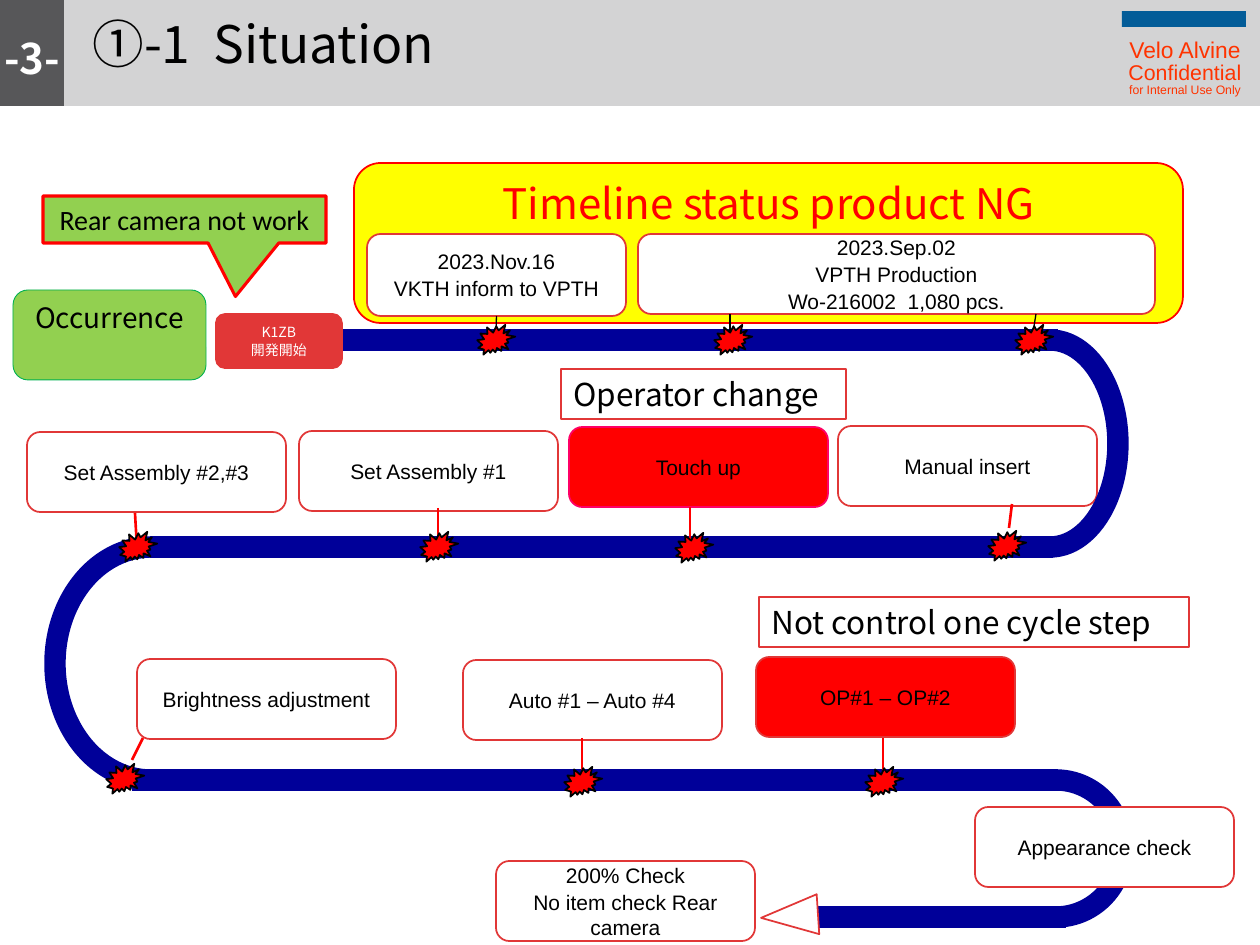
from lxml.etree import SubElement
from pptx import Presentation
from pptx.dml.color import RGBColor
from pptx.enum.shapes import MSO_CONNECTOR, MSO_SHAPE
from pptx.enum.text import MSO_ANCHOR, PP_ALIGN
from pptx.oxml.ns import qn
from pptx.util import Pt

PX_PER_INCH = 126
SANS, ARIAL, CALIBRI = "Noto Sans CJK JP", "Arial", "Calibri"

BLACK = RGBColor(0x00, 0x00, 0x00)
WHITE = RGBColor(0xFF, 0xFF, 0xFF)
RED = RGBColor(0xFF, 0x00, 0x00)
BORDER = RGBColor(0xE1, 0x37, 0x37)
PINK = RGBColor(0xFF, 0x00, 0x66)
YELLOW = RGBColor(0xFF, 0xFF, 0x00)
LIME = RGBColor(0x92, 0xD0, 0x50)
GREEN = RGBColor(0x00, 0xB0, 0x50)
NAVY = RGBColor(0x00, 0x00, 0x99)
LIGHT_GRAY = RGBColor(0xD3, 0xD3, 0xD4)
DARK_GRAY = RGBColor(0x57, 0x57, 0x59)
LOGO_BLUE = RGBColor(0x03, 0x5C, 0x98)
ORANGE = RGBColor(0xFF, 0x33, 0x00)

STEP_W, STEP_H = 259, 80
STAR_W, STAR_H = 37, 33
TRACK_PT = 12.25


def px(n):
    return round(n * 914400 / PX_PER_INCH)


def write(sp, text, size, color=BLACK, font=ARIAL, bold=False, align=PP_ALIGN.CENTER,
          anchor=MSO_ANCHOR.MIDDLE, before=0.1, wrap=True, inset=None):
    tf = sp.text_frame
    frame = {"word_wrap": wrap, "vertical_anchor": anchor}
    if inset is not None:
        for side in ("left", "top", "right", "bottom"):
            frame[f"margin_{side}"] = px(inset)
    for name, value in frame.items():
        setattr(tf, name, value)
    for i, line in enumerate(text.split("\n")):
        p = tf.paragraphs[0] if i == 0 else tf.add_paragraph()
        p.alignment = align
        p.space_before = Pt(round(size * before, 1))
        r = p.add_run()
        r.text = line
        for name, value in {"name": font, "size": Pt(size), "bold": bold}.items():
            setattr(r.font, name, value)
        r.font.color.rgb = color
        SubElement(r.font._element, qn("a:ea"), typeface=font)


def shape(s, kind, x, y, w, h, fill=None, line=None, width=1):
    sp = s.shapes.add_shape(kind, px(x), px(y), px(w), px(h))
    sp.shadow.inherit = False
    if fill is None:
        sp.fill.background()
    else:
        sp.fill.solid()
        sp.fill.fore_color.rgb = fill
    if line is None:
        sp.line.fill.background()
    else:
        sp.line.color.rgb = line
        sp.line.width = Pt(width)
    return sp


def textbox(s, x, y, w, h, text, size, **fmt):
    tb = s.shapes.add_textbox(px(x), px(y), px(w), px(h))
    write(tb, text, size, before=0, **fmt)


def connector(s, x1, y1, x2, y2, color, width):
    cx = s.shapes.add_connector(MSO_CONNECTOR.STRAIGHT, px(x1), px(y1), px(x2), px(y2))
    cx.line.color.rgb = color
    cx.line.width = Pt(width)
    SubElement(cx._element.spPr, qn("a:effectLst"))
    return cx


def step(s, x, y, text, w=STEP_W, h=STEP_H, fill=WHITE, line=BORDER):
    sp = shape(s, MSO_SHAPE.ROUNDED_RECTANGLE, x, y, w, h, fill, line)
    write(sp, text, 12)
    return sp


def header(s, x, y, w, h):
    shape(s, MSO_SHAPE.RECTANGLE, x, y, w, h, LIGHT_GRAY)
    shape(s, MSO_SHAPE.RECTANGLE, x, y, 64, h, DARK_GRAY)
    textbox(s, x, y + 26, 64, 63, "-3-", 24, color=WHITE, font=SANS, bold=True,
            wrap=False, inset=0)
    textbox(s, x + 80, y + 6, 1000, 74, "①-1  Situation", 29.5, font=SANS, align=PP_ALIGN.LEFT)
    # Company mark and confidentiality note
    right = x + w
    shape(s, MSO_SHAPE.RECTANGLE, right - 138, y + 11, 124, 16, LOGO_BLUE)
    for dy, height, text, size in ((35, 28, "Velo Alvine", 13),
                                   (59, 26, "Confidential", 12.2),
                                   (82, 15, "for Internal Use Only", 7)):
        textbox(s, right - 142, y + dy, 134, height, text, size, color=ORANGE,
                wrap=False, inset=0)


def timeline_panel(s, x, y, w, h):
    sp = shape(s, MSO_SHAPE.ROUNDED_RECTANGLE, x, y, w, h, YELLOW, RED)
    write(sp, "Timeline status product NG", 24, RED, SANS, anchor=MSO_ANCHOR.TOP)
    inform = step(s, x + 13, y + 71, "2023.Nov.16\nVKTH inform to VPTH", h=82)
    step(s, x + 284, y + 71, "2023.Sep.02\nVPTH Production\nWo-216002  1,080 pcs.", w=517)
    return inform


def step_row(s, x, y, steps):
    for dx, dy, text, fill, line in steps:
        step(s, x + dx, y + dy, text, fill=fill, line=line)


def track(s, x, y, w, h):
    # Straight runs: start, end, height
    for x1, x2, dy in ((231, 1003, 0), (95, 998, 207), (1003, 77, 440), (1011, 761, 577)):
        connector(s, x + x1, y + dy, x + x2, y + dy, NAVY, TRACK_PT)
    # Half-turns: box, start and end angle
    for dx, dy, aw, ah, start, end in ((927, 0, 136, 207, 270, 90),
                                       (0, 207, 192, 233, 90, 270),
                                       (w - 134, 440, 134, h - 440, 270, 90)):
        arc = shape(s, MSO_SHAPE.ARC, x + dx, y + dy, aw, ah, None, NAVY, TRACK_PT)
        arc.adjustments[0] = start * 0.6
        arc.adjustments[1] = end * 0.6
    arrow = shape(s, MSO_SHAPE.RIGHT_ARROW, x + 706, y + 556, 57, 40, WHITE, BORDER)
    arrow.adjustments[1] = 1.78
    arrow.rotation = 176.3


def marker(s, x, y, stem, color=RED, width=1.5, source=None):
    """Burst centred at x, y with a stem coming from its step."""
    x1, y1, x2, y2 = stem
    cx = connector(s, x1, y1, x2, y2, color, width)
    if source is not None:
        cx.begin_connect(source, 2)
    star = shape(s, MSO_SHAPE.EXPLOSION2, x - STAR_W / 2, y - STAR_H / 2,
                 STAR_W, STAR_H, RED, BLACK)
    star.rotation = 9.1


def start_group(s, x, y, w, h):
    callout = shape(s, MSO_SHAPE.RECTANGULAR_CALLOUT, x + 30, y, 283, 47, LIME, RED, 1.75)
    callout.adjustments[0] = 0.18
    callout.adjustments[1] = 1.64
    write(callout, "Rear camera not work", 16, font=CALIBRI, before=0)
    sp = shape(s, MSO_SHAPE.ROUNDED_RECTANGLE, x, y + 94, 193, h - 94, LIME, GREEN, 0.5)
    write(sp, "Occurrence", 16, font=SANS, anchor=MSO_ANCHOR.TOP)
    sp = shape(s, MSO_SHAPE.ROUNDED_RECTANGLE, x + w - 126, y + 118, 126, 54, BORDER, BORDER)
    write(sp, "K1ZB\n開発開始", 8, WHITE, SANS)


def label(s, x, y, w, h, text):
    sp = shape(s, MSO_SHAPE.RECTANGLE, x, y, w, h, WHITE, BORDER)
    write(sp, text, 18, font=SANS, align=PP_ALIGN.LEFT, before=0)


def main():
    prs = Presentation()
    prs.slide_width, prs.slide_height = px(1260), px(945)
    s = prs.slides.add_slide(prs.slide_layouts[6])

    header(s, 0, 0, 1260, 106)
    inform = timeline_panel(s, 354, 163, 829, 160)
    step_row(s, 27, 426, ((0, 6, "Set Assembly #2,#3", WHITE, BORDER),
                          (272, 5, "Set Assembly #1", WHITE, BORDER),
                          (542, 1, "Touch up", RED, PINK),
                          (811, 0, "Manual insert", WHITE, BORDER)))
    step_row(s, 137, 657, ((0, 2, "Brightness adjustment", WHITE, BORDER),
                           (326, 3, "Auto #1 – Auto #4", WHITE, BORDER),
                           (619, 0, "OP#1 – OP#2", RED, BORDER)))
    track(s, 55, 340, 1068, 577)
    start_group(s, 13, 196, 329, 184)

    # Final checks
    step(s, 496, 861, "200% Check\nNo item check Rear camera")
    step(s, 975, 807, "Appearance check")

    # Event markers along the track
    marker(s, 496, 340, (496, 316, 496, 334), BLACK, 0.75, inform)
    marker(s, 733, 340, (730, 314, 730, 334), BLACK, 0.75)
    marker(s, 1034, 340, (1036, 314, 1033, 333), BLACK, 0.75)
    for x, y, stem in ((138, 547, (135, 513, 137, 547)),
                       (439, 547, (438, 508, 438, 550)),
                       (694, 548, (690, 507, 690, 546)),
                       (1007, 546, (1012, 504, 1009, 528)),
                       (125, 779, (143, 738, 132, 760)),
                       (583, 782, (582, 738, 582, 782)),
                       (884, 782, (883, 738, 883, 782))):
        marker(s, x, y, stem)

    # Findings
    label(s, 561, 369, 285, 50, "Operator change")
    label(s, 759, 597, 430, 50, "Not control one cycle step")

    prs.save("out.pptx")


if __name__ == "__main__":
    main()
